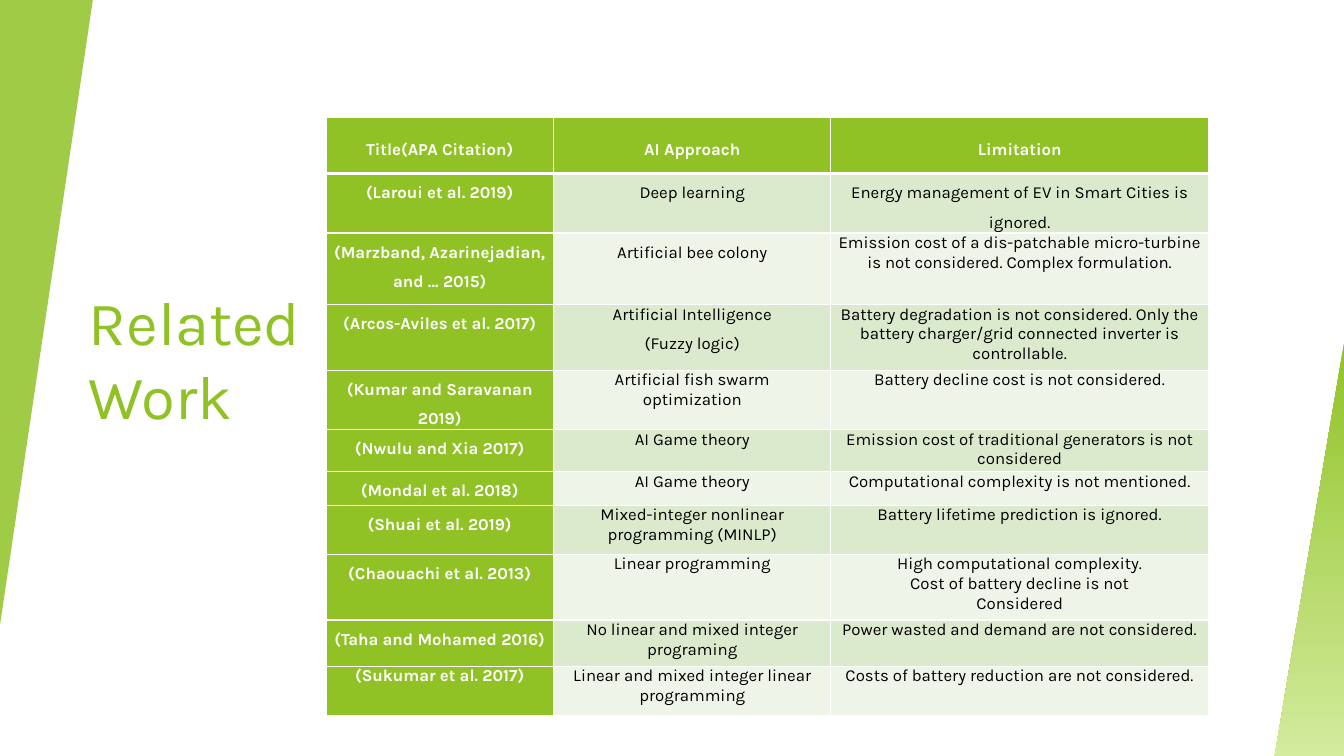
from lxml.etree import SubElement
from pptx import Presentation
from pptx.dml.color import RGBColor
from pptx.enum.shapes import MSO_SHAPE
from pptx.enum.text import MSO_ANCHOR, MSO_AUTO_SIZE, PP_ALIGN
from pptx.oxml.ns import qn
from pptx.util import Pt

FONT = "Karla"
COLORS = {
    "green": "90C226",
    "pale_green": "D5EDA2",
    "odd_row": "DBE9CD",
    "even_row": "EEF4E8",
    "white": "FFFFFF",
    "black": "000000",
}

COLUMN_WIDTHS = [162.7, 198, 269.8]
ROW_HEIGHTS = [40.3, 42.5, 51.1, 46.8, 42.5, 30, 24, 35.3, 46.8, 33.1, 35.3]

# One tuple per row; a line break in a cell starts a new paragraph
ROWS = [
    ("Title(APA Citation)", "AI Approach", "Limitation"),
    ("(Laroui et al. 2019)", "Deep learning",
     "Energy management of EV in Smart Cities is ignored."),
    ("(Marzband, Azarinejadian, and ... 2015)", "Artificial bee colony",
     "Emission cost of a dis-patchable micro-turbine is not considered. "
     "Complex formulation."),
    ("(Arcos-Aviles et al. 2017)", "Artificial Intelligence\n(Fuzzy logic)",
     "Battery degradation is not considered. Only the battery charger/grid "
     "connected inverter is controllable."),
    ("(Kumar and Saravanan 2019)", "Artificial fish swarm\noptimization",
     "Battery decline cost is not considered."),
    ("(Nwulu and Xia 2017)", "AI Game theory",
     "Emission cost of traditional generators is not considered"),
    ("(Mondal et al. 2018)", "AI Game theory",
     "Computational complexity is not mentioned."),
    ("(Shuai et al. 2019)", "Mixed-integer nonlinear\nprogramming (MINLP)",
     "Battery lifetime prediction is ignored."),
    ("(Chaouachi et al. 2013)", "Linear programming",
     "High computational complexity.\nCost of battery decline is not\nConsidered"),
    ("(Taha and Mohamed 2016)", "No linear and mixed integer programing",
     "Power wasted and demand are not considered."),
    ("(Sukumar et al. 2017)", "Linear and mixed integer linear programming",
     "Costs of battery reduction are not considered."),
]
LOOSE_BODY_LINES = {"Artificial bee colony", "(Fuzzy logic)"}


def color(name):
    return RGBColor.from_string(COLORS[name])


def set_attributes(target, values):
    for name, value in values.items():
        setattr(target, name, value)


def format_font(font, size, color_name, bold=False):
    set_attributes(font, {"name": FONT, "size": Pt(size), "bold": bold})
    font.color.rgb = color(color_name)


def add_left_wedge(page):
    wedge = page.shapes.add_shape(
        MSO_SHAPE.ISOSCELES_TRIANGLE, 0, 0, Pt(66.3), Pt(446.3))
    wedge.adjustments[0] = 1
    wedge.rotation = 180
    wedge.shadow.inherit = False
    wedge.fill.solid()
    wedge.fill.fore_color.rgb = color("green")
    fill_color = wedge.fill._xPr.find(qn("a:solidFill"))[0]
    SubElement(fill_color, qn("a:alpha"), val="85000")
    wedge.line.fill.background()


def add_right_wedge(page):
    corners = [(960.5, 242.6), (981.4, 240.5), (1010.2, 542.2), (908.6, 551.5)]
    start, *others = [(Pt(x), Pt(y)) for x, y in corners]
    builder = page.shapes.build_freeform(*start)
    builder.add_line_segments(others, close=True)
    wedge = builder.convert_to_shape()
    wedge.shadow.inherit = False
    wedge.fill.gradient()
    wedge.fill.gradient_angle = 270
    for stop, name, position in zip(
            wedge.fill.gradient_stops, ("green", "pale_green"), (0, 1)):
        stop.color.rgb = color(name)
        stop.position = position
    wedge.line.fill.background()


def add_title(page, text):
    title = page.shapes.title
    set_attributes(title, {"left": Pt(56.2), "top": Pt(75.6),
                           "width": Pt(275), "height": Pt(236.2)})
    frame = title.text_frame
    set_attributes(frame, {"text": text, "word_wrap": True,
                           "auto_size": MSO_AUTO_SIZE.NONE,
                           "vertical_anchor": MSO_ANCHOR.BOTTOM})
    para = frame.paragraphs[0]
    para.alignment = PP_ALIGN.LEFT
    format_font(para.font, 44, "green")


def add_borders(cell, row):
    widths = {"L": 1, "R": 1, "T": 3 if row == 1 else 1, "B": 3 if row == 0 else 1}
    properties = cell._tc.get_or_add_tcPr()
    for side, width in widths.items():
        line = SubElement(properties, qn(f"a:ln{side}"), w=str(Pt(width)))
        fill = SubElement(line, qn("a:solidFill"))
        SubElement(fill, qn("a:srgbClr"), val=COLORS["white"])


def is_loose(text, row, column):
    citation = column == 0 and row < len(ROWS) - 1
    return row < 2 or citation or text in LOOSE_BODY_LINES


def fill_cell(cell, text, row, column):
    heading = row == 0 or column == 0
    set_attributes(cell, {
        "text": text,
        "margin_left": Pt(4.5), "margin_right": Pt(4.5),
        "margin_top": 0, "margin_bottom": 0,
        "vertical_anchor": MSO_ANCHOR.MIDDLE if row == 0 else MSO_ANCHOR.TOP,
    })
    add_borders(cell, row)
    cell.fill.solid()
    band = "odd_row" if row % 2 else "even_row"
    cell.fill.fore_color.rgb = color("green" if heading else band)
    for para in cell.text_frame.paragraphs:
        para.alignment = PP_ALIGN.CENTER
        para.line_spacing = 1.5 if is_loose(para.text, row, column) else 1.0
        for span in para.runs:
            format_font(span.font, 12, "white" if heading else "black", heading)


def add_work_table(page):
    frame = page.shapes.add_table(
        len(ROWS), len(COLUMN_WIDTHS), Pt(232.8), Pt(83.7),
        Pt(sum(COLUMN_WIDTHS)), Pt(sum(ROW_HEIGHTS)))
    table = frame.table
    table.first_col = True
    for column, width in zip(table.columns, COLUMN_WIDTHS):
        column.width = Pt(width)
    for row, height in zip(table.rows, ROW_HEIGHTS):
        row.height = Pt(height)
    for row, texts in enumerate(ROWS):
        for column, text in enumerate(texts):
            fill_cell(table.cell(row, column), text, row, column)


def main():
    deck = Presentation()
    set_attributes(deck, {"slide_width": Pt(960), "slide_height": Pt(540)})
    page = deck.slides.add_slide(deck.slide_layouts[5])

    # Side decoration
    add_right_wedge(page)
    add_left_wedge(page)

    # Content
    add_work_table(page)
    add_title(page, "Related Work")
    deck.save("out.pptx")


if __name__ == "__main__":
    main()
